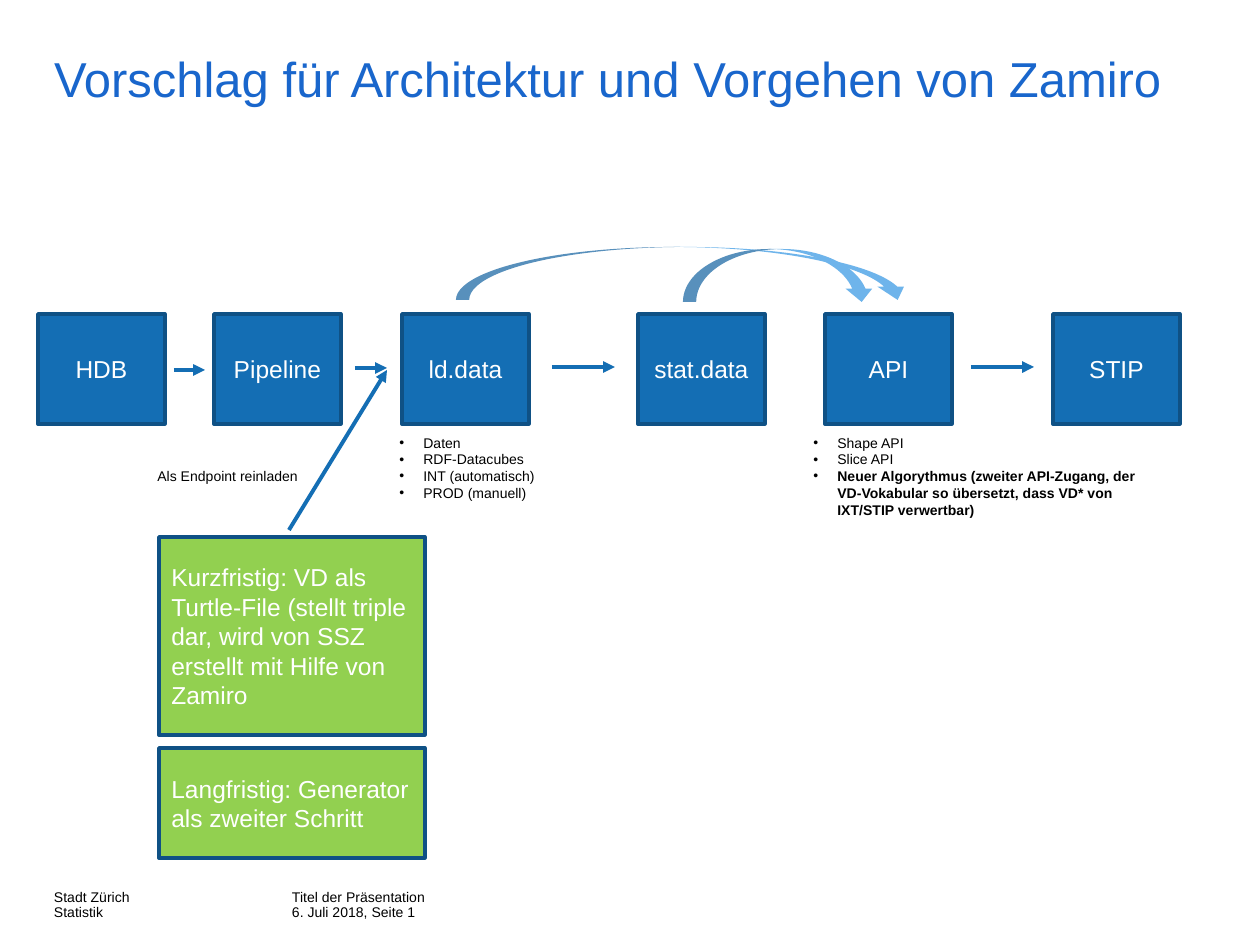
from dataclasses import dataclass

from lxml import etree
from pptx import Presentation
from pptx import util as u
from pptx.dml.color import RGBColor
from pptx.enum import shapes, text
from pptx.oxml import ns

BLUE = RGBColor(0x14, 0x6E, 0xB4)
DARK_BLUE = RGBColor(0x0F, 0x51, 0x85)
LIGHT_BLUE = RGBColor(0x6E, 0xB4, 0xEB)
TITLE_BLUE = RGBColor(0x19, 0x66, 0xCC)
GREEN = RGBColor(0x92, 0xD0, 0x50)
WHITE = RGBColor(0xFF, 0xFF, 0xFF)
BLACK = RGBColor(0, 0, 0)

FONT = "Arial"
PX_PER_INCH = 126
BOX_TOP, BOX_W, BOX_H = 314, 127, 110


@dataclass(frozen=True)
class Area:
    left: int
    top: int
    width: int
    height: int

    def emu(self) -> list[int]:
        return [px(n) for n in (self.left, self.top, self.width, self.height)]


@dataclass(frozen=True)
class Box:
    area: Area
    label: str
    fill: RGBColor = BLUE
    align: text.PP_ALIGN = text.PP_ALIGN.CENTER


@dataclass(frozen=True)
class Arrow:
    x1: int
    y1: int
    x2: int
    y2: int


def px(n: int) -> int:
    return round(n * u.Inches(1) / PX_PER_INCH)


def add_bullet(p) -> None:
    pPr = p._p.get_or_add_pPr()
    pPr.set("marL", str(px(24)))
    pPr.set("indent", str(px(-24)))
    etree.SubElement(pPr, ns.qn("a:buFont"), typeface=FONT)
    etree.SubElement(pPr, ns.qn("a:buChar"), char="•")


def write(tf, lines, *, size=8, color=BLACK, align=text.PP_ALIGN.LEFT,
          anchor=text.MSO_ANCHOR.TOP, spacing=None, inset=True, wrap=True,
          bullets=False, bold_last=False) -> None:
    tf.auto_size = text.MSO_AUTO_SIZE.NONE
    tf.word_wrap = wrap
    tf.vertical_anchor = anchor
    if not inset:
        tf.margin_left = tf.margin_right = tf.margin_top = tf.margin_bottom = 0
    for i, line in enumerate(lines):
        p = tf.paragraphs[0] if i == 0 else tf.add_paragraph()
        p.alignment = align
        if spacing:
            p.line_spacing = spacing
        if bullets:
            add_bullet(p)
        r = p.add_run()
        r.text = line
        r.font.name = FONT
        r.font.size = u.Pt(size)
        r.font.color.rgb = color
        if bold_last and i == len(lines) - 1:
            r.font.bold = True


def add_text(s, area: Area, lines, **fmt) -> None:
    write(s.shapes.add_textbox(*area.emu()).text_frame, lines, **fmt)


def add_box(s, box: Box) -> None:
    sp = s.shapes.add_shape(shapes.MSO_SHAPE.RECTANGLE, *box.area.emu())
    sp.shadow.inherit = False
    sp.fill.solid()
    sp.fill.fore_color.rgb = box.fill
    sp.line.color.rgb = DARK_BLUE
    sp.line.width = u.Pt(2)
    write(sp.text_frame, [box.label], size=14, color=WHITE, align=box.align,
          anchor=text.MSO_ANCHOR.MIDDLE)


def add_arrow(s, arrow: Arrow) -> None:
    c = s.shapes.add_connector(shapes.MSO_CONNECTOR.STRAIGHT, px(arrow.x1),
                               px(arrow.y1), px(arrow.x2), px(arrow.y2))
    c.line.color.rgb = BLUE
    c.line.width = u.Pt(2.25)
    etree.SubElement(c.line._get_or_add_ln(), ns.qn("a:tailEnd"), type="triangle")
    etree.SubElement(c._element.spPr, ns.qn("a:effectLst"))


def add_curve(s, area: Area) -> None:
    sp = s.shapes.add_shape(shapes.MSO_SHAPE.CURVED_DOWN_ARROW, *area.emu())
    sp.shadow.inherit = False
    sp.fill.solid()
    sp.fill.fore_color.rgb = LIGHT_BLUE
    sp.line.fill.background()


STATIONS = [(38, "HDB"), (214, "Pipeline"), (402, "ld.data"),
            (638, "stat.data"), (825, "API"), (1053, "STIP")]
BOXES = [Box(Area(x, BOX_TOP, BOX_W, BOX_H), label) for x, label in STATIONS] + [
    Box(Area(159, 537, 266, 198),
        "Kurzfristig: VD als Turtle-File (stellt triple dar, wird von SSZ "
        "erstellt mit Hilfe von Zamiro", GREEN, text.PP_ALIGN.LEFT),
    Box(Area(159, 748, 266, BOX_H), "Langfristig: Generator als zweiter Schritt",
        GREEN, text.PP_ALIGN.LEFT),
]
ARROWS = [Arrow(289, 530, 387, 370), Arrow(971, 367, 1034, 367),
          Arrow(552, 367, 615, 367), Arrow(174, 370, 205, 370),
          Arrow(355, 368, 387, 368)]
CURVES = [Area(456, 247, 455, 53), Area(683, 249, 192, 53)]
FOOTERS = [
    (Area(292, 890, 257, 32), ["Titel der Präsentation", "6. Juli 2018, Seite 1"]),
    (Area(54, 890, 238, 32), ["Stadt Zürich", "Statistik"]),
]

prs = Presentation()
prs.slide_width, prs.slide_height = u.Inches(10), u.Inches(7.5)
s = prs.slides.add_slide(prs.slide_layouts[5])

title = s.shapes.title
title.left, title.top, title.width, title.height = Area(54, 55, 1152, 118).emu()
write(title.text_frame, ["Vorschlag für Architektur und Vorgehen von Zamiro"],
      size=28, color=TITLE_BLUE, spacing=0.9, inset=False)

for area, lines in FOOTERS:
    add_text(s, area, lines, spacing=0.9, inset=False, wrap=False)
for box in BOXES:
    add_box(s, box)
add_text(s, Area(387, 428, 175, 81),
         ["Daten", "RDF-Datacubes", "INT (automatisch)", "PROD (manuell)"],
         bullets=True)
add_text(s, Area(145, 461, 214, 30), ["Als Endpoint reinladen"])
add_text(s, Area(801, 428, 350, 97),
         ["Shape API", "Slice API",
          "Neuer Algorythmus (zweiter API-Zugang, der VD-Vokabular so "
          "übersetzt, dass VD* von IXT/STIP verwertbar)"],
         bullets=True, bold_last=True)
for arrow in ARROWS:
    add_arrow(s, arrow)
for area in CURVES:
    add_curve(s, area)

prs.save("out.pptx")
